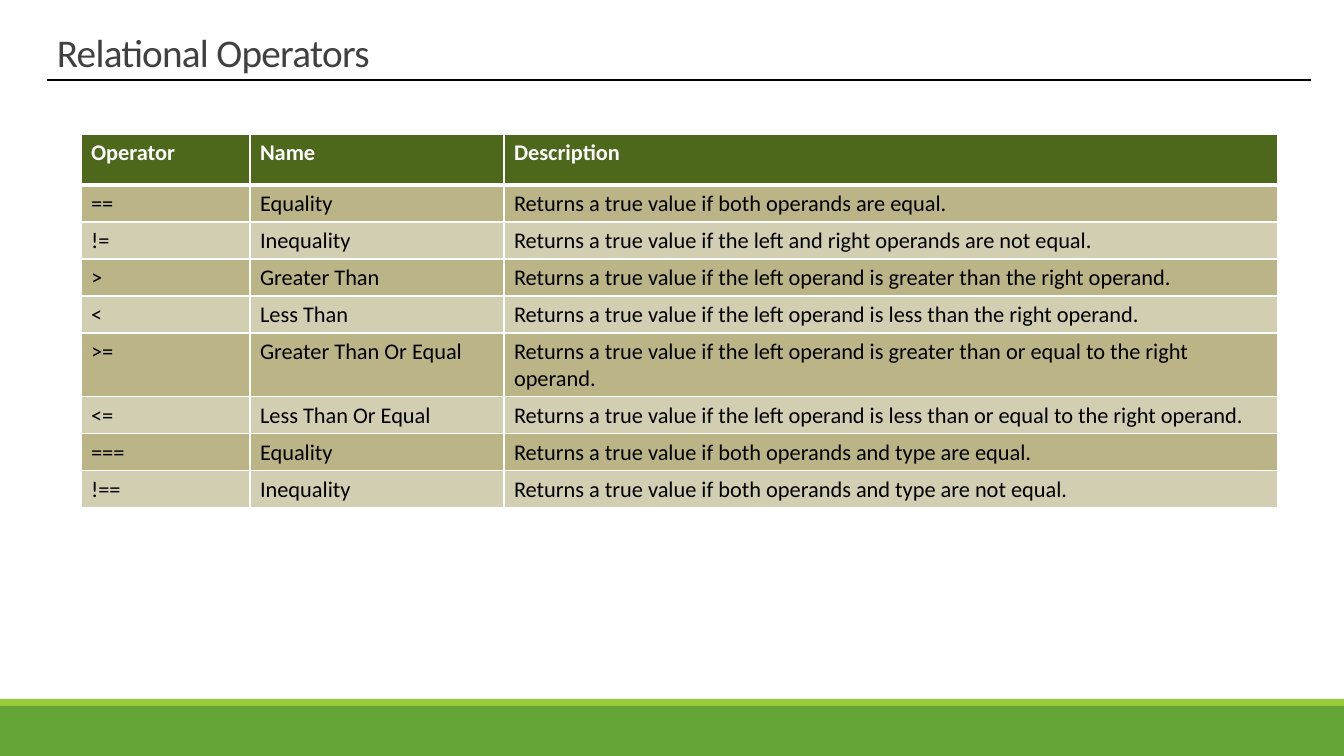
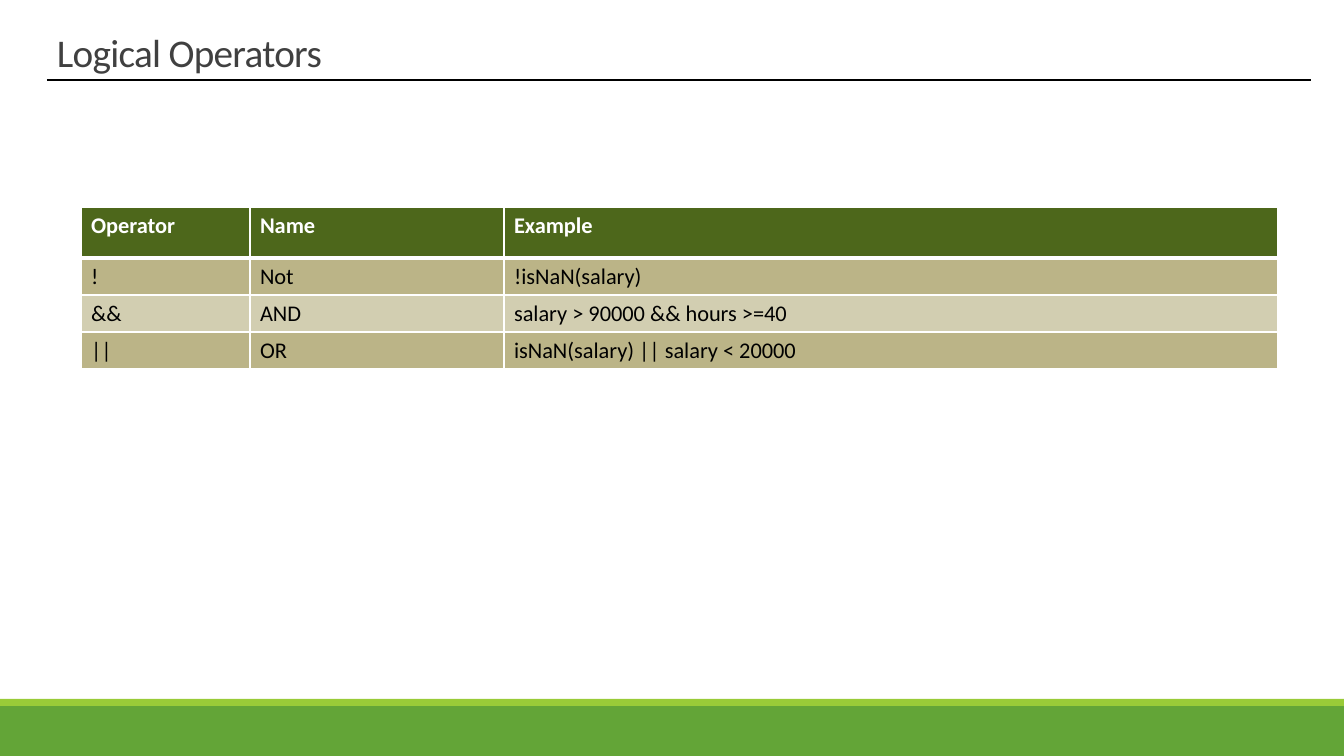
from lxml.etree import SubElement
from pptx import Presentation
from pptx.dml.color import RGBColor
from pptx.enum.shapes import MSO_CONNECTOR, MSO_SHAPE
from pptx.enum.text import MSO_ANCHOR
from pptx.oxml.ns import qn
from pptx.util import Pt

PAGE_WIDTH, PAGE_HEIGHT = 1344, 756
EMU_PER_PX = 12192000 / PAGE_WIDTH

WHITE = RGBColor(0xFF, 0xFF, 0xFF)
BLACK = RGBColor(0x00, 0x00, 0x00)
TITLE_GRAY = RGBColor(0x40, 0x40, 0x40)
BAND_GREEN = RGBColor(0x63, 0xA5, 0x37)
STRIPE_GREEN = RGBColor(0x99, 0xCB, 0x38)
HEADER_GREEN = RGBColor(0x4D, 0x67, 0x1B)
ROW_FILLS = (RGBColor(0xBB, 0xB4, 0x87), RGBColor(0xD2, 0xCE, 0xB1))

FONT = "Calibri"
TABLE_LEFT = 81
COLUMN_WIDTHS = (169, 254, 774)
HEADER_HEIGHT, ROW_HEIGHT = 51, 37

RELATIONAL_ROWS = (
    ("Operator", "Name", "Description"),
    ("==", "Equality", "Returns a true value if both operands are equal."),
    ("!=", "Inequality", "Returns a true value if the left and right operands are not equal."),
    (">", "Greater Than",
     "Returns a true value if the left operand is greater than the right operand."),
    ("<", "Less Than",
     "Returns a true value if the left operand is less than the right operand."),
    (">=", "Greater Than Or Equal",
     "Returns a true value if the left operand is greater than or equal to the right operand."),
    ("<=", "Less Than Or Equal",
     "Returns a true value if the left operand is less than or equal to the right operand."),
    ("===", "Equality", "Returns a true value if both operands and type are equal."),
    ("!==", "Inequality", "Returns a true value if both operands and type are not equal."),
)
LOGICAL_ROWS = (
    ("Operator", "Name", "Example"),
    ("!", "Not", "!isNaN(salary)"),
    ("&&", "AND", "salary > 90000 && hours >=40"),
    ("||", "OR", "isNaN(salary) || salary < 20000"),
)


def px(*lengths):
    return [round(length * EMU_PER_PX) for length in lengths]


class OperatorDeck:
    def __init__(self):
        self.deck = Presentation()
        self.deck.slide_width, self.deck.slide_height = px(PAGE_WIDTH, PAGE_HEIGHT)
        self.page = None

    def add_page(self, title):
        self.page = self.deck.slides.add_slide(self.deck.slide_layouts[6])
        self.band(706, 50, BAND_GREEN)
        self.band(699, 7, STRIPE_GREEN)
        self.title(title)
        self.rule(47, 1311, 80)

    def band(self, top, height, color):
        band = self.page.shapes.add_shape(MSO_SHAPE.RECTANGLE, *px(0, top, PAGE_WIDTH, height))
        band.shadow.inherit = False
        band.fill.solid()
        band.fill.fore_color.rgb = color
        band.line.fill.background()

    def title(self, text):
        box = self.page.shapes.add_textbox(*px(47, -80, 1109, 160))
        frame = box.text_frame
        frame.word_wrap = True
        frame.vertical_anchor = MSO_ANCHOR.BOTTOM
        para = frame.paragraphs[0]
        para.line_spacing = 0.85
        self.style(para, 28, TITLE_GRAY)
        span = para.add_run()
        span.text = text
        span.font._element.set("spc", "-50")

    def rule(self, left, right, top):
        line = self.page.shapes.add_connector(MSO_CONNECTOR.STRAIGHT, *px(left, top, right, top))
        line.line.color.rgb = BLACK
        line.line.width = Pt(1)
        SubElement(line._element.spPr, qn("a:effectLst"))

    def table(self, top, rows):
        heights = [HEADER_HEIGHT] + [ROW_HEIGHT] * (len(rows) - 1)
        area = px(TABLE_LEFT, top, sum(COLUMN_WIDTHS), sum(heights))
        table = self.page.shapes.add_table(len(rows), len(COLUMN_WIDTHS), *area).table
        for column, width in zip(table.columns, px(*COLUMN_WIDTHS)):
            column.width = width
        for row, height in zip(table.rows, px(*heights)):
            row.height = height
        for row_index, texts in enumerate(rows):
            for column_index, text in enumerate(texts):
                self.cell(table.cell(row_index, column_index), text, row_index)

    def cell(self, cell, text, row_index):
        is_header = row_index == 0
        self.border(cell, "a:lnL", 1)
        self.border(cell, "a:lnR", 1)
        self.border(cell, "a:lnT", 3 if row_index == 1 else 1)
        self.border(cell, "a:lnB", 3 if is_header else 1)
        cell.fill.solid()
        cell.fill.fore_color.rgb = HEADER_GREEN if is_header else ROW_FILLS[(row_index - 1) % 2]
        cell.text = text
        self.style(cell.text_frame.paragraphs[0], 16, WHITE if is_header else BLACK, is_header)

    def border(self, cell, side, width):
        properties = cell._tc.get_or_add_tcPr()
        line = SubElement(properties, qn(side), w=str(Pt(width)))
        fill = SubElement(line, qn("a:solidFill"))
        SubElement(fill, qn("a:srgbClr"), val=str(WHITE))

    def style(self, para, size, color, bold=False):
        para.font.name = FONT
        para.font.size = Pt(size)
        para.font.bold = bold
        para.font.color.rgb = color


def main():
    operators = OperatorDeck()
    operators.add_page("Relational Operators")
    operators.table(134, RELATIONAL_ROWS)
    operators.add_page("Logical Operators")
    operators.table(207, LOGICAL_ROWS)
    operators.deck.save("out.pptx")


if __name__ == "__main__":
    main()
